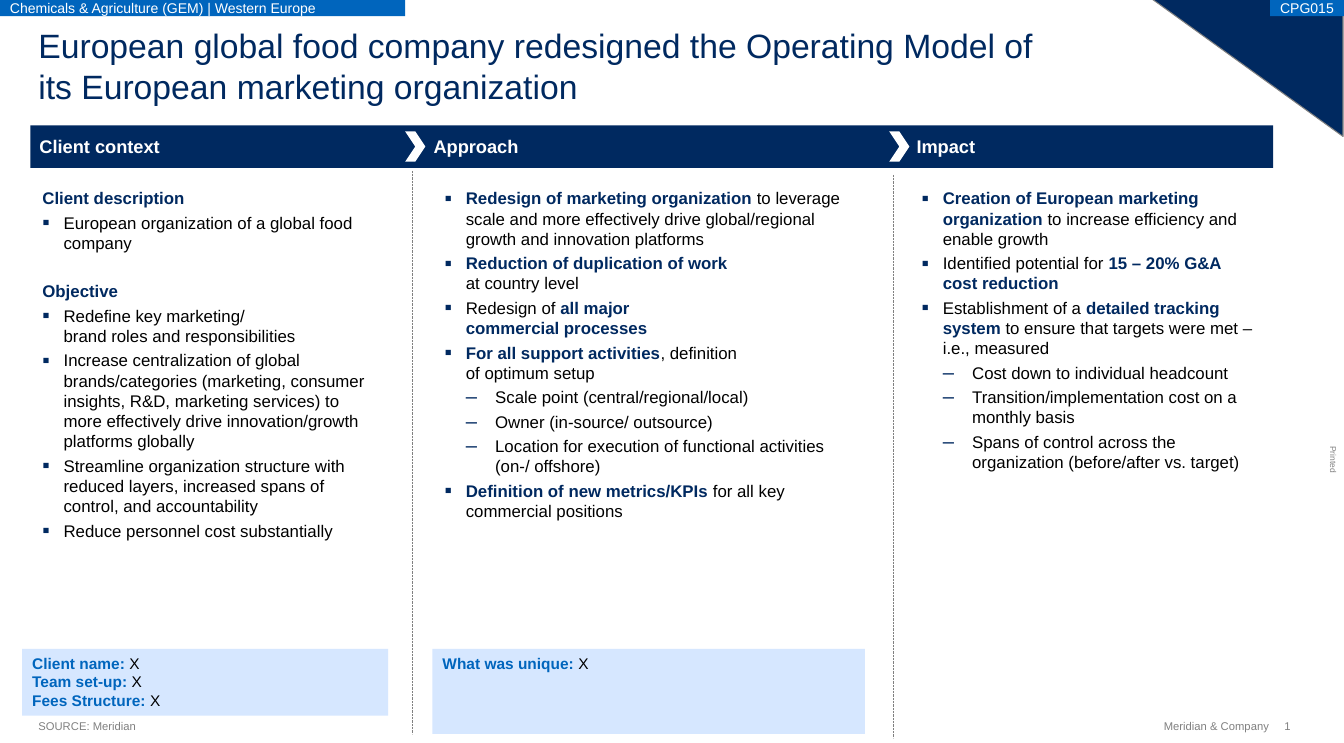
from lxml import etree
from pptx import Presentation
from pptx.dml.color import RGBColor
from pptx.enum import dml, shapes, text
from pptx.oxml import ns
from pptx.util import Inches, Pt

COLORS = {
    "navy": "002960", "blue": "0065BD", "pale": "D6E7FF",
    "gray": "808080", "black": "000000", "white": "FFFFFF",
}
BULLETS = {
    1: {"char": "▪", "size": 125000, "left": 0.21, "hang": 0.21},
    2: {"char": "–", "size": 120000, "left": 0.5, "hang": 0.29},
}
CONTEXT = [
    (0, "**Client description**"),
    (1, "European organization of a global food company"),
    (0, "**Objective**"),
    (1, "Redefine key marketing/\nbrand roles and responsibilities"),
    (1, "Increase centralization of global brands/categories (marketing, consumer "
        "insights, R&D, marketing services) to more effectively drive "
        "innovation/growth platforms globally"),
    (1, "Streamline organization structure with reduced layers, increased spans of "
        "control, and accountability"),
    (1, "Reduce personnel cost substantially"),
]
APPROACH = [
    (1, "**Redesign of marketing organization** to leverage scale and more effectively "
        "drive global/regional growth and innovation platforms"),
    (1, "**Reduction of duplication of work**\nat country level"),
    (1, "Redesign of **all major\ncommercial processes**"),
    (1, "**For all support activities**, definition\nof optimum setup"),
    (2, "Scale point (central/regional/local)"),
    (2, "Owner (in-source/ outsource)"),
    (2, "Location for execution of functional activities (on-/ offshore)"),
    (1, "**Definition of new metrics/KPIs** for all key commercial positions"),
]
IMPACT = [
    (1, "**Creation of European marketing organization** to increase efficiency and "
        "enable growth"),
    (1, "Identified potential for **15 – 20% G&A cost reduction**"),
    (1, "Establishment of a **detailed tracking system** to ensure that targets were "
        "met – i.e., measured"),
    (2, "Cost down to individual headcount"),
    (2, "Transition/implementation cost on a monthly basis"),
    (2, "Spans of control across the organization (before/after vs. target)"),
]


def rgb(name):
    return RGBColor.from_string(COLORS[name])


def write(paragraph, content, size=12, color="black", accent="navy", bold=False):
    """Write content; parts between double asterisks are bold in the accent colour."""
    for index, part in enumerate(content.split("**")):
        marked = index % 2 == 1
        for number, line in enumerate(part.split("\n")):
            if number:
                paragraph.add_line_break()
            if not line:
                continue
            run = paragraph.add_run()
            run.text = line
            run.font.name = "Arial"
            run.font.size = Pt(size)
            run.font.bold = bold or marked
            run.font.color.rgb = rgb(accent if marked else color)


def add_text(slide, box, content, anchor="TOP", align="LEFT", wrap=True, **font):
    shape = slide.shapes.add_textbox(*map(Inches, box))
    frame = shape.text_frame
    frame.margin_left = frame.margin_right = frame.margin_top = frame.margin_bottom = 0
    frame.word_wrap = wrap
    frame.vertical_anchor = text.MSO_ANCHOR[anchor]
    frame.paragraphs[0].alignment = text.PP_ALIGN[align]
    write(frame.paragraphs[0], content, **font)
    return shape


def add_block(slide, kind, box, fill):
    shape = slide.shapes.add_shape(shapes.MSO_SHAPE[kind], *map(Inches, box))
    shape.shadow.inherit = False
    shape.fill.solid()
    shape.fill.fore_color.rgb = rgb(fill)
    shape.line.fill.background()
    return shape


def add_panel(slide, box, lines, fill, anchor="TOP", wrap=True, **font):
    """Add a filled rectangle with one paragraph per line."""
    frame = add_block(slide, "RECTANGLE", box, fill).text_frame
    frame.word_wrap = wrap
    frame.vertical_anchor = text.MSO_ANCHOR[anchor]
    for index, line in enumerate(lines):
        paragraph = frame.add_paragraph() if index else frame.paragraphs[0]
        paragraph.alignment = text.PP_ALIGN.LEFT
        write(paragraph, line, **font)


def set_bullet(paragraph, char, size, left, hang):
    properties = paragraph._p.get_or_add_pPr()
    properties.set("marL", str(Inches(left)))
    properties.set("indent", str(-Inches(hang)))
    color = etree.SubElement(properties, ns.qn("a:buClr"))
    etree.SubElement(color, ns.qn("a:srgbClr"), val=COLORS["navy"])
    etree.SubElement(properties, ns.qn("a:buSzPct"), val=str(size))
    etree.SubElement(properties, ns.qn("a:buFont"), typeface="Arial")
    etree.SubElement(properties, ns.qn("a:buChar"), char=char)


def add_column(slide, box, items):
    """Add a list of (level, text) items; level 0 is a subheading."""
    frame = add_text(slide, box, "").text_frame
    for index, (level, content) in enumerate(items):
        paragraph = frame.add_paragraph() if index else frame.paragraphs[0]
        if level:
            set_bullet(paragraph, **BULLETS[level])
        if index:
            paragraph.space_before = Pt(3 if level else 20)
        write(paragraph, content)


def add_divider(slide, x, top, height):
    line = slide.shapes.add_connector(
        shapes.MSO_CONNECTOR.STRAIGHT, *map(Inches, (x, top, x, top + height)))
    line.line.color.rgb = rgb("gray")
    line.line.width = Pt(0.5)
    line.line.dash_style = dml.MSO_LINE.ROUND_DOT
    etree.SubElement(line._element.spPr, ns.qn("a:effectLst"))


def add_top(slide, width):
    corner = add_block(slide, "RIGHT_TRIANGLE", (width - 1.9, -0.01, 1.89, 1.36), "navy")
    corner.rotation = 180
    corner.line.color.rgb = rgb("gray")
    corner.line.width = Pt(0.75)
    tags = [(0, 4.01, "Chemicals & Agriculture (GEM) | Western Europe"),
            (width - 0.73, 0.73, "CPG015")]
    for left, tag_width, label in tags:
        add_panel(slide, (left, 0, tag_width, 0.16), [label], "blue",
                  anchor="MIDDLE", wrap=False, size=10, color="white")
    add_text(slide, (0.38, 0.25, 10.93, 0.81),
             "European global food company redesigned the Operating Model of\n"
             "its European marketing organization", size=24, color="navy")


def add_header(slide, box):
    left, top, _, height = box
    add_block(slide, "RECTANGLE", box, "navy")
    headings = [(0.09, 2.91, "Client context"), (3.99, 3.49, "Approach"),
                (8.77, 3.17, "Impact")]
    for offset, width, label in headings:
        add_text(slide, (left + offset, top + 0.09, width, height - 0.2), label,
                 anchor="BOTTOM", size=13, color="white", bold=True)
    for offset in (3.71, 8.5):
        add_block(slide, "CHEVRON", (left + offset, top + 0.06, 0.2, 0.3), "white")


def add_body(slide, top):
    columns = [(0.42, 3.34, 3.53, CONTEXT), (4.4, 4.11, 3.32, APPROACH),
               (9.12, 3.35, 2.84, IMPACT)]
    for left, width, height, items in columns:
        add_column(slide, (left, top, width, height), items)
    for x, start in ((4.08, top - 0.17), (8.84, top - 0.13)):
        add_divider(slide, x, start, 5.57)


def add_notes_panels(slide, top):
    panels = [
        (0.22, 3.62, 0.66, ["**Client name:** X", "**Team set-up:** X",
                            "**Fees Structure:** X"]),
        (4.28, 4.28, 0.84, ["**What was unique:** X"]),
    ]
    for left, width, height, lines in panels:
        add_panel(slide, (left, top, width, height), lines, "pale",
                  size=11, accent="blue")


def add_footer(slide, top):
    small = {"size": 8, "color": "gray"}
    add_text(slide, (0.38, top, 7.87, 0.13), "SOURCE: Meridian", anchor="BOTTOM", **small)
    add_text(slide, (11.43, top, 1.13, 0.13), "Meridian & Company",
             anchor="MIDDLE", align="RIGHT", wrap=False, **small)
    add_text(slide, (12.71, top, 0.14, 0.13), "1", anchor="MIDDLE", wrap=False, **small)
    printed = add_text(slide, (13.06, 4.5, 0.27, 0.1), "Printed", wrap=False,
                       size=6, color="gray")
    printed.rotation = 90


def main():
    presentation = Presentation()
    presentation.slide_width = Inches(13.3)
    presentation.slide_height = Inches(7.35)
    slide = presentation.slides.add_slide(presentation.slide_layouts[6])
    add_top(slide, 13.3)
    add_header(slide, (0.3, 1.24, 12.3, 0.42))
    add_body(slide, 1.86)
    add_notes_panels(slide, 6.42)
    add_footer(slide, 7.12)
    presentation.save("out.pptx")


if __name__ == "__main__":
    main()
